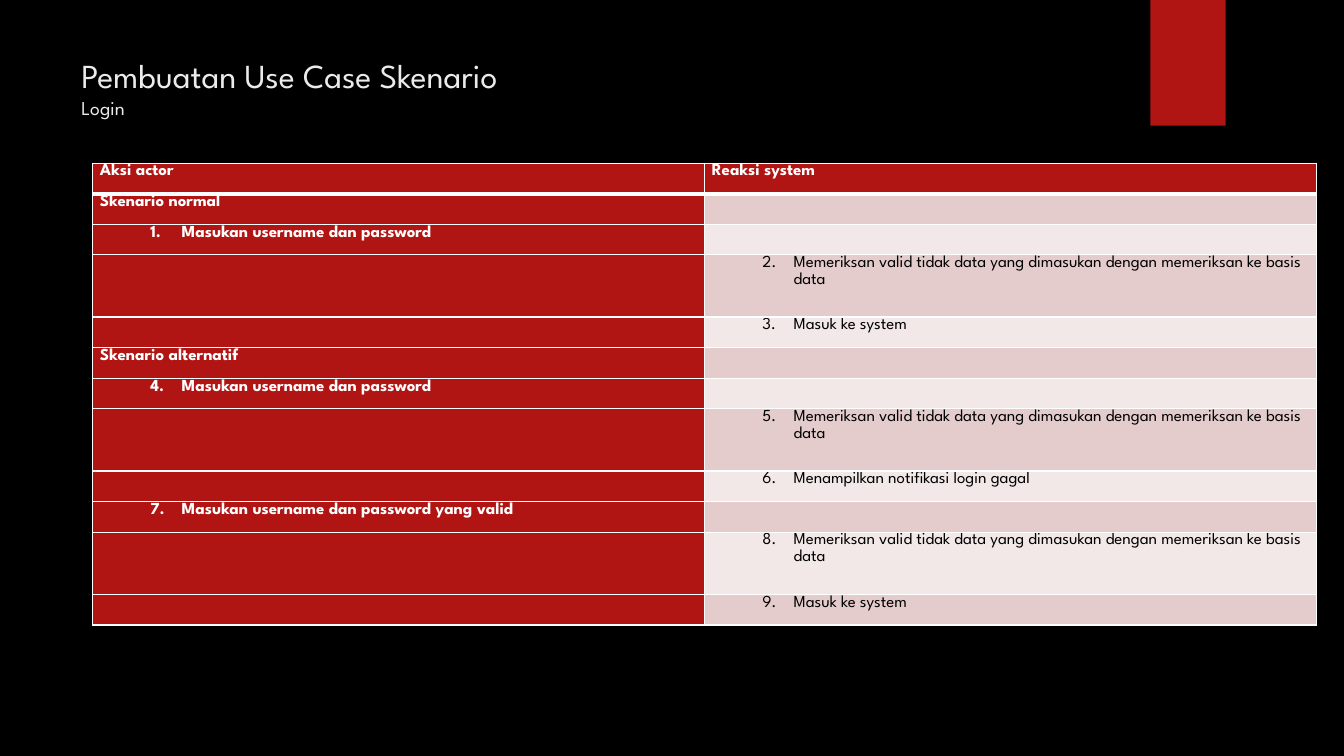
from lxml import etree
from pptx import Presentation
from pptx.dml.color import RGBColor
from pptx.enum.shapes import MSO_SHAPE
from pptx.enum.text import MSO_ANCHOR
from pptx.oxml.ns import qn
from pptx.util import Cm, Pt

RECTANGLE = MSO_SHAPE.RECTANGLE
TOP = MSO_ANCHOR.TOP
FONT = "League Spartan"
COLORS = {
    "background": "000000",
    "accent": "B01513",
    "title": "EBEBEB",
    "border": "FFFFFF",
    "action": "FFFFFF",
    "reaction": "000000",
    "odd_band": "E4CCCC",
    "even_band": "F2E8E7",
}
CELL_FORMAT = {
    "margin_left": Cm(0.19),
    "margin_right": Cm(0.19),
    "margin_top": 0,
    "margin_bottom": 0,
    "vertical_anchor": TOP,
}
ROW_HEIGHT, TALL_ROW_HEIGHT = Cm(0.77), Cm(1.57)
HEADER, HEADING, ACTION, REACTION = "header", "heading", "action", "reaction"
CHECK = "Memeriksan valid tidak data yang dimasukan dengan memeriksan ke basis data"
SCENARIO = [
    (HEADER, "Aksi actor", "Reaksi system"),
    (HEADING, "Skenario normal", ""),
    (ACTION, "Masukan username dan password", ""),
    (REACTION, "", CHECK),
    (REACTION, "", "Masuk ke system"),
    (HEADING, "Skenario alternatif", ""),
    (ACTION, "Masukan username dan password", ""),
    (REACTION, "", CHECK),
    (REACTION, "", "Menampilkan notifikasi login gagal"),
    (ACTION, "Masukan username dan password yang valid", ""),
    (REACTION, "", CHECK),
    (REACTION, "", "Masuk ke system"),
]


def rgb(name):
    return RGBColor.from_string(COLORS[name])


def add_text(paragraph, text, size, color, bold=False):
    run = paragraph.add_run()
    run.text = text
    for name, value in {"name": FONT, "size": Pt(size), "bold": bold}.items():
        setattr(run.font, name, value)
    run.font.color.rgb = rgb(color)


def add_ribbon(slide):
    ribbon = slide.shapes.add_shape(RECTANGLE, Cm(28.99), 0, Cm(1.9), Cm(3.17))
    ribbon.shadow.inherit = False
    ribbon.fill.solid()
    ribbon.fill.fore_color.rgb = rgb("accent")
    ribbon.line.fill.background()


def add_title(slide):
    frame = slide.shapes.add_textbox(Cm(1.8), Cm(1.27), Cm(26.14), Cm(3.89)).text_frame
    frame.word_wrap = True
    frame.vertical_anchor = TOP
    heading = frame.paragraphs[0]
    add_text(heading, "Pembuatan Use Case Skenario", 24, "title")
    heading.add_line_break()
    line_break = heading._p.find(qn("a:br"))
    break_format = etree.SubElement(line_break, qn("a:rPr"), sz="3600")
    etree.SubElement(break_format, qn("a:latin"), typeface=FONT)
    add_text(heading, "Login", 14, "title")


def number_step(paragraph, number):
    properties = paragraph._p.get_or_add_pPr()
    for name, value in {"marL": Cm(2.06), "indent": Cm(-0.79), "lvl": 1}.items():
        properties.set(name, str(int(value)))
    etree.SubElement(properties, qn("a:buFont"), typeface="+mj-lt")
    etree.SubElement(
        properties, qn("a:buAutoNum"), type="arabicPeriod", startAt=str(number)
    )


def set_borders(cell, widths):
    properties = cell._tc.get_or_add_tcPr()
    for position, (side, width) in enumerate(widths.items()):
        border = etree.Element(qn(f"a:ln{side}"), w=str(Pt(width)))
        fill = etree.SubElement(border, qn("a:solidFill"))
        etree.SubElement(fill, qn("a:srgbClr"), val=COLORS["border"])
        properties.insert(position, border)


def fill_cell(cell, text, text_color, fill, bold, number):
    for name, value in CELL_FORMAT.items():
        setattr(cell, name, value)
    cell.fill.solid()
    cell.fill.fore_color.rgb = rgb(fill)
    paragraph = cell.text_frame.paragraphs[0]
    paragraph.line_spacing = 1.07
    if text:
        if number:
            number_step(paragraph, number)
        add_text(paragraph, text, 12, text_color, bold)
    else:
        etree.SubElement(paragraph._p, qn("a:endParaRPr"), sz="1200")


def add_scenario_table(slide):
    heights = [TALL_ROW_HEIGHT if CHECK in row else ROW_HEIGHT for row in SCENARIO]
    table = slide.shapes.add_table(
        len(SCENARIO), 2, Cm(2.33), Cm(4.11), Cm(30.84), sum(heights)
    ).table
    table.horz_banding = False
    step = 0
    for index, (kind, action, reaction) in enumerate(SCENARIO):
        table.rows[index].height = heights[index]
        is_header = kind == HEADER
        is_step = kind in (ACTION, REACTION)
        step += is_step
        number = step if is_step else None
        band = "odd_band" if index % 2 else "even_band"
        left, right = table.cell(index, 0), table.cell(index, 1)
        fill_cell(left, action, "action", "accent", True, number)
        fill_cell(
            right,
            reaction,
            "action" if is_header else "reaction",
            "accent" if is_header else band,
            is_header,
            number,
        )
        widths = {"L": 1, "R": 1, "T": 3 if index == 1 else 1, "B": 3 if is_header else 1}
        for cell in (left, right):
            set_borders(cell, widths)


def main():
    presentation = Presentation()
    presentation.slide_width, presentation.slide_height = Cm(33.87), Cm(19.05)
    slide = presentation.slides.add_slide(presentation.slide_layouts[6])
    slide.background.fill.solid()
    slide.background.fill.fore_color.rgb = rgb("background")
    add_ribbon(slide)
    add_title(slide)
    add_scenario_table(slide)
    presentation.save("out.pptx")


if __name__ == "__main__":
    main()
